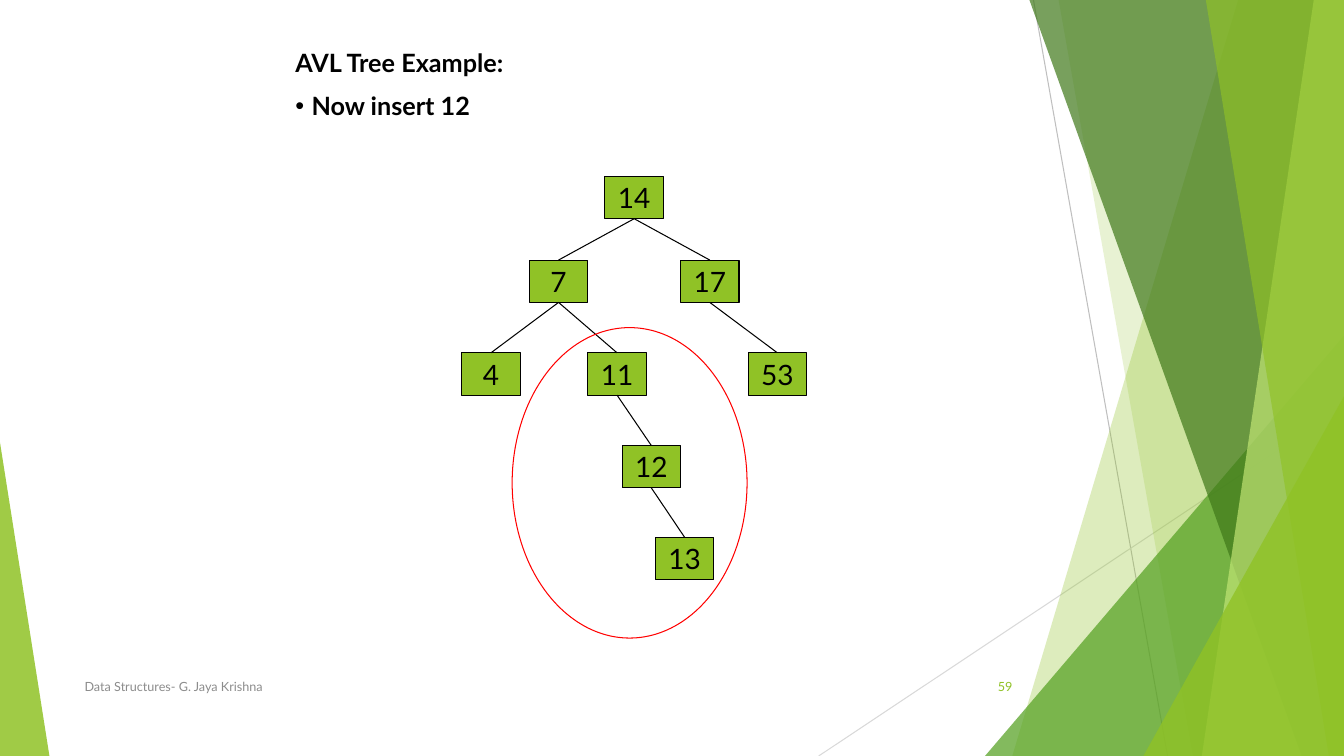
from dataclasses import dataclass
from lxml.etree import SubElement
from pptx import Presentation
from pptx.dml.color import RGBColor
from pptx.enum.shapes import MSO_CONNECTOR, MSO_SHAPE
from pptx.enum.text import MSO_ANCHOR, MSO_AUTO_SIZE, PP_ALIGN
from pptx.oxml.ns import qn
from pptx.util import Inches, Pt


@dataclass(frozen=True)
class Theme:
    font: str = "Lato"
    ink: str = "000000"
    lime: str = "90C226"
    ring: str = "FF0000"
    grey: str = "8C8C8C"
    head: int = 18
    key: int = 20
    foot: int = 9
    rule: float = 0.75


THEME = Theme()
WIDE, HIGH = 13.33, 7.5

# Content
HEADING = ["AVL Tree Example:", "Now insert 12"]
LEVELS = [1.75, 2.58, 3.5, 4.42, 5.33]
NODE_W, NODE_H = 0.58, 0.42
# key: (left, level, parent)
TREE = {
    "14": (6, 0, None),
    "17": (6.75, 1, "14"),
    "7": (5.25, 1, "14"),
    "4": (4.58, 2, "7"),
    "53": (7.42, 2, "17"),
    "11": (5.83, 2, "7"),
    "12": (6.17, 3, "11"),
    "13": (6.5, 4, "12"),
}
RING = (5.08, 3.25, 2.33, 3.08)
# text, left, width, colour, alignment
FOOTER = [
    ("Data Structures- G. Jaya Krishna", 0.74, 6.89, THEME.grey, PP_ALIGN.LEFT),
    ("59", 9.39, 0.75, THEME.lime, PP_ALIGN.RIGHT),
]
# start, end, colour
RAYS = [
    ((10.25, 0), (11.58, HIGH), "BFBFBF"),
    ((WIDE, 4.03), (8.12, HIGH), "D9D9D9"),
]
# bands: top x, bottom x; wedges: left, top, width, apex; then colour, opacity
FACETS = [
    ("band", (12.28, 10.04), THEME.lime, 30),
    ("band", (10.5, 11.83), THEME.lime, 20),
    ("wedge", (9.77, 3.33, 3.56, 1), "54A021", 72),
    ("band", (10.21, 12.91), "3F7819", 70),
    ("band", (13.03, 11.92), "C0E474", 70),
    ("band", (11.96, 13.18), THEME.lime, 65),
    ("wedge", (11.34, 3.93, 1.99, 1), THEME.lime, 80),
    ("wedge", (0, 4.39, 0.49, 0), THEME.lime, 85),
]

deck = Presentation()
deck.slide_width, deck.slide_height = Inches(WIDE), Inches(HIGH)
slide = deck.slides.add_slide(deck.slide_layouts[5])
shapes = slide.shapes


def paint(shape, fill=None, line=None, alpha=100):
    shape.shadow.inherit = False
    if fill:
        shape.fill.solid()
        shape.fill.fore_color.rgb = RGBColor.from_string(fill)
        if alpha < 100:
            tint = shape._element.spPr.find(qn("a:solidFill"))[0]
            SubElement(tint, qn("a:alpha")).set("val", str(alpha * 1000))
    else:
        shape.fill.background()
    if line:
        shape.line.color.rgb = RGBColor.from_string(line)
        shape.line.width = Pt(THEME.rule)
    else:
        shape.line.fill.background()


def link(start, end, color):
    line = shapes.add_connector(
        MSO_CONNECTOR.STRAIGHT, *[Inches(n) for n in (*start, *end)])
    line.line.color.rgb = RGBColor.from_string(color)
    line.line.width = Pt(THEME.rule)
    SubElement(line._element.spPr, qn("a:effectLst"))
    return line


def style(para, size, color, align, bold=False):
    para.alignment = align
    for run in para.runs:
        font = run.font
        font.name, font.size, font.bold = THEME.font, Pt(size), bold
        font.color.rgb = RGBColor.from_string(color)


# Backdrop
for start, end, color in RAYS:
    link(start, end, color)
for kind, spot, color, alpha in FACETS:
    if kind == "band":
        top, base = spot
        pen = shapes.build_freeform(Inches(top), 0)
        pen.add_line_segments([(Inches(x), Inches(y)) for x, y in
                               ((WIDE, 0), (WIDE, HIGH), (base, HIGH))])
        facet = pen.convert_to_shape()
    else:
        left, top, width, apex = spot
        facet = shapes.add_shape(
            MSO_SHAPE.ISOSCELES_TRIANGLE, Inches(left), Inches(top),
            Inches(width), Inches(HIGH - top))
        facet.adjustments[0] = apex
    paint(facet, color, alpha=alpha)

# Heading
title = shapes.title
title.left, title.top = Inches(2.83), Inches(0.42)
title.width, title.height = Inches(7.83), Inches(0.85)
frame = title.text_frame
frame.text = "\n".join(HEADING)
frame.auto_size, frame.word_wrap = MSO_AUTO_SIZE.NONE, True
frame.vertical_anchor = MSO_ANCHOR.TOP
for para in frame.paragraphs:
    style(para, THEME.head, THEME.ink, PP_ALIGN.LEFT, bold=True)
step = frame.paragraphs[1]
step.space_before = Pt(THEME.head / 2)
props = step._p.get_or_add_pPr()
props.set("marL", str(Inches(0.16)))
props.set("indent", str(-Inches(0.16)))
SubElement(props, qn("a:buFont")).set("typeface", "Arial")
SubElement(props, qn("a:buChar")).set("char", "•")

# Tree: each node hangs from its parent's bottom edge
nodes = {}
for key, (left, level, parent) in TREE.items():
    node = shapes.add_shape(
        MSO_SHAPE.RECTANGLE, Inches(left), Inches(LEVELS[level]),
        Inches(NODE_W), Inches(NODE_H))
    paint(node, THEME.lime, THEME.ink)
    frame = node.text_frame
    frame.text = key
    frame.word_wrap, frame.vertical_anchor = False, MSO_ANCHOR.MIDDLE
    style(frame.paragraphs[0], THEME.key, THEME.ink, PP_ALIGN.CENTER)
    nodes[key] = node
    if parent:
        edge = link((0, 0), (0, 0), THEME.ink)
        edge.begin_connect(nodes[parent], 2)
        edge.end_connect(node, 0)

# Ring around the unbalanced part
ring = shapes.add_shape(MSO_SHAPE.OVAL, *[Inches(n) for n in RING])
paint(ring, line=THEME.ring)

# Footer
for text, left, width, color, align in FOOTER:
    box = shapes.add_textbox(
        Inches(left), Inches(6.61), Inches(width), Inches(0.4))
    frame = box.text_frame
    frame.text = text
    frame.word_wrap, frame.vertical_anchor = True, MSO_ANCHOR.MIDDLE
    style(frame.paragraphs[0], THEME.foot, color, align)

deck.save("out.pptx")
